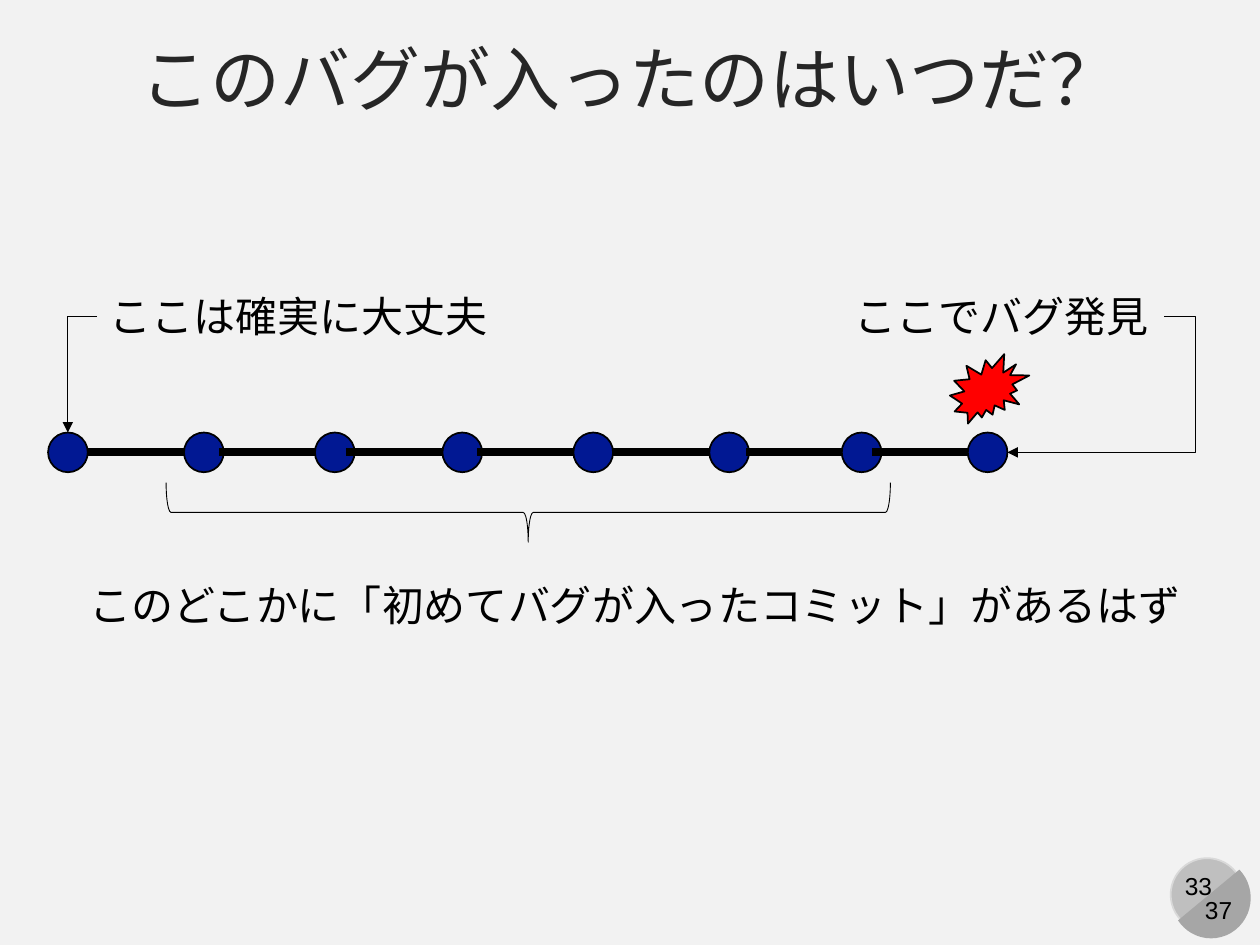
from lxml import etree
from pptx import Presentation
from pptx.dml.color import RGBColor
from pptx.enum.shapes import MSO_CONNECTOR, MSO_SHAPE
from pptx.enum.text import MSO_ANCHOR, PP_ALIGN
from pptx.oxml.ns import qn
from pptx.util import Cm, Pt

STRAIGHT, ELBOW = MSO_CONNECTOR.STRAIGHT, MSO_CONNECTOR.ELBOW
OVAL, CHORD = MSO_SHAPE.OVAL, MSO_SHAPE.CHORD
BURST, BRACE = MSO_SHAPE.EXPLOSION2, MSO_SHAPE.LEFT_BRACE
LEFT, CENTER = PP_ALIGN.LEFT, PP_ALIGN.CENTER
MIDDLE = MSO_ANCHOR.MIDDLE

FONT = "Arial"
COLORS = {
    "background": "F2F2F2",
    "title": "262626",
    "black": "000000",
    "commit": "011893",
    "bug": "FF0000",
    "badge": "BFBFBF",
    "badge_edge": "D9D9D9",
    "badge_half": "A6A6A6",
}
NODE = 0.8
LINK = 1.94
NODE_LEFTS = [0, 2.74, 5.38, 7.95, 10.59, 13.33, 16, 18.54]


def rgb(name):
    return RGBColor.from_string(COLORS[name])


def add_shape(s, kind, x, y, w, h, fill=None, line=None, width=1):
    sp = s.shapes.add_shape(kind, Cm(x), Cm(y), Cm(w), Cm(h))
    sp.shadow.inherit = False
    if fill:
        sp.fill.solid()
        sp.fill.fore_color.rgb = rgb(fill)
    else:
        sp.fill.background()
    if line:
        sp.line.color.rgb = rgb(line)
        sp.line.width = Pt(width)
    else:
        sp.line.fill.background()
    return sp


def add_text(s, text, x, y, w, h, size, color="black", align=LEFT, wrap=False):
    tf = s.shapes.add_textbox(Cm(x), Cm(y), Cm(w), Cm(h)).text_frame
    tf.word_wrap = wrap
    tf.vertical_anchor = MIDDLE
    tf.margin_top = tf.margin_bottom = 0
    p = tf.paragraphs[0]
    p.alignment = align
    r = p.add_run()
    r.text = text
    r.font.name = FONT
    r.font.size = Pt(size)
    r.font.color.rgb = rgb(color)


def add_line(s, kind, x1, y1, x2, y2, width):
    cxn = s.shapes.add_connector(kind, Cm(x1), Cm(y1), Cm(x2), Cm(y2))
    cxn.line.color.rgb = rgb("black")
    cxn.line.width = Pt(width)
    etree.SubElement(cxn._element.spPr, qn("a:effectLst"))
    return cxn


def add_elbow_arrow(s, x1, y1, x2, y2, preset, bend=None):
    cxn = add_line(s, ELBOW, x1, y1, x2, y2, 0.5)
    ln = cxn._element.spPr.find(qn("a:ln"))
    etree.SubElement(ln, qn("a:tailEnd"), type="triangle")
    geom = cxn._element.spPr.find(qn("a:prstGeom"))
    geom.set("prst", preset)
    if bend is not None:
        guides = geom.find(qn("a:avLst"))
        if guides is None:
            guides = etree.SubElement(geom, qn("a:avLst"))
        etree.SubElement(guides, qn("a:gd"), name="adj1", fmla=f"val {bend}")


def add_title(s, x, y, w, h):
    add_text(s, "このバグが入ったのはいつだ？", x, y, w, h, 40, "title", CENTER, True)


def add_page_badge(s, x, y, size):
    add_shape(s, OVAL, x, y, size, size, "badge", "badge_edge")
    add_text(s, "33", x, y + 0.13, 1.12, 0.86, 14, align=CENTER)
    half = add_shape(s, CHORD, x, y, 1.63, 1.6, "badge_half")
    half.adjustments[1] = 141.42
    half.rotation = 270
    add_text(s, "37", x + 0.28, y + 0.61, 1.37, 0.86, 14, align=CENTER, wrap=True)


def add_history(s, x, y):
    mid = y + NODE / 2
    for i, left in enumerate(NODE_LEFTS):
        add_shape(s, OVAL, x + left, y, NODE, NODE, "commit", "black")
        if i:
            add_line(s, STRAIGHT, x + left, mid, x + left - LINK, mid, 4.5)
    add_shape(s, BURST, x + 18.18, y - 1.58, 1.6, 1.4, "bug", "black")


def add_labels(s, x, y, nodes_x, nodes_y):
    mid = y + 0.66
    end = nodes_x + NODE_LEFTS[-1] + NODE
    add_text(s, "ここでバグ発見", x + 15.01, y, 6.5, 1.27, 24)
    add_text(s, "ここは確実に大丈夫", x, y, 8.2, 1.27, 24)
    add_elbow_arrow(s, x + 21.51, mid, end, nodes_y + NODE / 2, "bentConnector3", -20100)
    add_elbow_arrow(s, x, mid, nodes_x + NODE / 2, nodes_y, "bentConnector2")


def add_suspect_range(s, x, y, w, h):
    brace = add_shape(s, BRACE, x + (w - h) / 2, y - (w - h) / 2, h, w, None, "black", 0.5)
    brace.rotation = 270
    add_text(s, "このどこかに「初めてバグが入ったコミット」があるはず",
             x - 1.8, y + 1.83, 22.73, 1.27, 24)


def main():
    prs = Presentation()
    prs.slide_width, prs.slide_height = Cm(25.4), Cm(19.05)
    s = prs.slides.add_slide(prs.slide_layouts[6])
    s.background.fill.solid()
    s.background.fill.fore_color.rgb = rgb("background")
    add_page_badge(s, 23.6, 17.3, 1.47)
    add_title(s, 0, 0.53, 25.4, 2.08)
    add_history(s, 0.97, 8.72)
    add_labels(s, 1.96, 5.72, 0.97, 8.72)
    add_suspect_range(s, 3.35, 9.73, 14.6, 1.2)
    prs.save("out.pptx")


if __name__ == "__main__":
    main()
